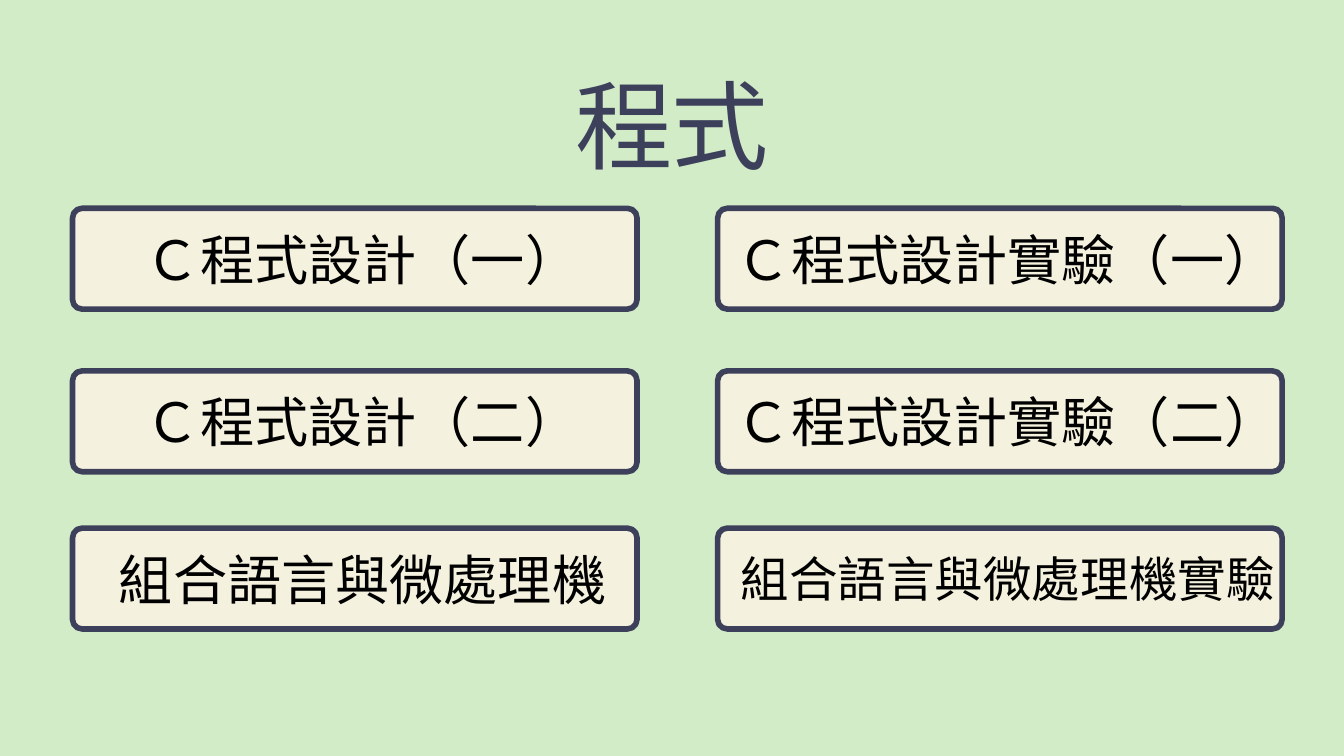
from pptx import Presentation
from pptx.dml.color import RGBColor
from pptx.enum import shapes, text
from pptx.util import Inches, Pt

# Content: one row per course, lecture beside laboratory, with text size
TITLE = "程式"
COURSES = [
    [("Ｃ程式設計（一）", 29), ("Ｃ程式設計實驗（一）", 29)],
    [("Ｃ程式設計（二）", 29), ("Ｃ程式設計實驗（二）", 29)],
    [("組合語言與微處理機", 29), ("組合語言與微處理機實驗", 26)],
]

# Layout and style
COLUMN_LEFTS = [0.54, 5.34]
ROW_TOPS = [1.55, 2.76, 3.93]
CARD_WIDTH, CARD_HEIGHT = 4.2, 0.75
FONT = "Manrope"
MINT, CREAM, NAVY, BLACK = "D2ECC8", "F4F1DE", "3D405B", "000000"


def paint(fill, color):
    fill.solid()
    fill.fore_color.rgb = RGBColor.from_string(color)


def write(shape, words, size, color, anchor, left_inset=0):
    frame = shape.text_frame
    frame.word_wrap = True
    frame.auto_size = text.MSO_AUTO_SIZE.NONE
    frame.vertical_anchor = anchor
    frame.margin_left = Inches(left_inset)
    frame.margin_top = frame.margin_right = frame.margin_bottom = 0
    para = frame.paragraphs[0]
    para.text = words
    para.alignment = text.PP_ALIGN.CENTER
    para.font.name = FONT
    para.font.size = Pt(size)
    paint(para.font.fill, color)


def add_card(page, left, top, words, size):
    card = page.shapes.add_shape(
        shapes.MSO_SHAPE.ROUNDED_RECTANGLE,
        Inches(left), Inches(top), Inches(CARD_WIDTH), Inches(CARD_HEIGHT))
    card.adjustments[0] = 0.095
    card.shadow.inherit = False
    paint(card.fill, CREAM)
    paint(card.line.fill, NAVY)
    card.line.width = Pt(3)
    write(card, words, size, BLACK, text.MSO_ANCHOR.MIDDLE, left_inset=0.12)


# Widescreen page, 16:9
deck = Presentation()
deck.slide_width = Inches(10)
deck.slide_height = deck.slide_width * 9 // 16
page = deck.slides.add_slide(deck.slide_layouts[5])
paint(page.background.fill, MINT)

# Title
title = page.shapes.title
title.left, title.top = Inches(0.78), Inches(0.49)
title.width, title.height = Inches(8.44), Inches(0.63)
write(title, TITLE, 52, NAVY, text.MSO_ANCHOR.TOP)

# Course cards
for top, row in zip(ROW_TOPS, COURSES):
    for left, (words, size) in zip(COLUMN_LEFTS, row):
        add_card(page, left, top, words, size)

deck.save("out.pptx")
